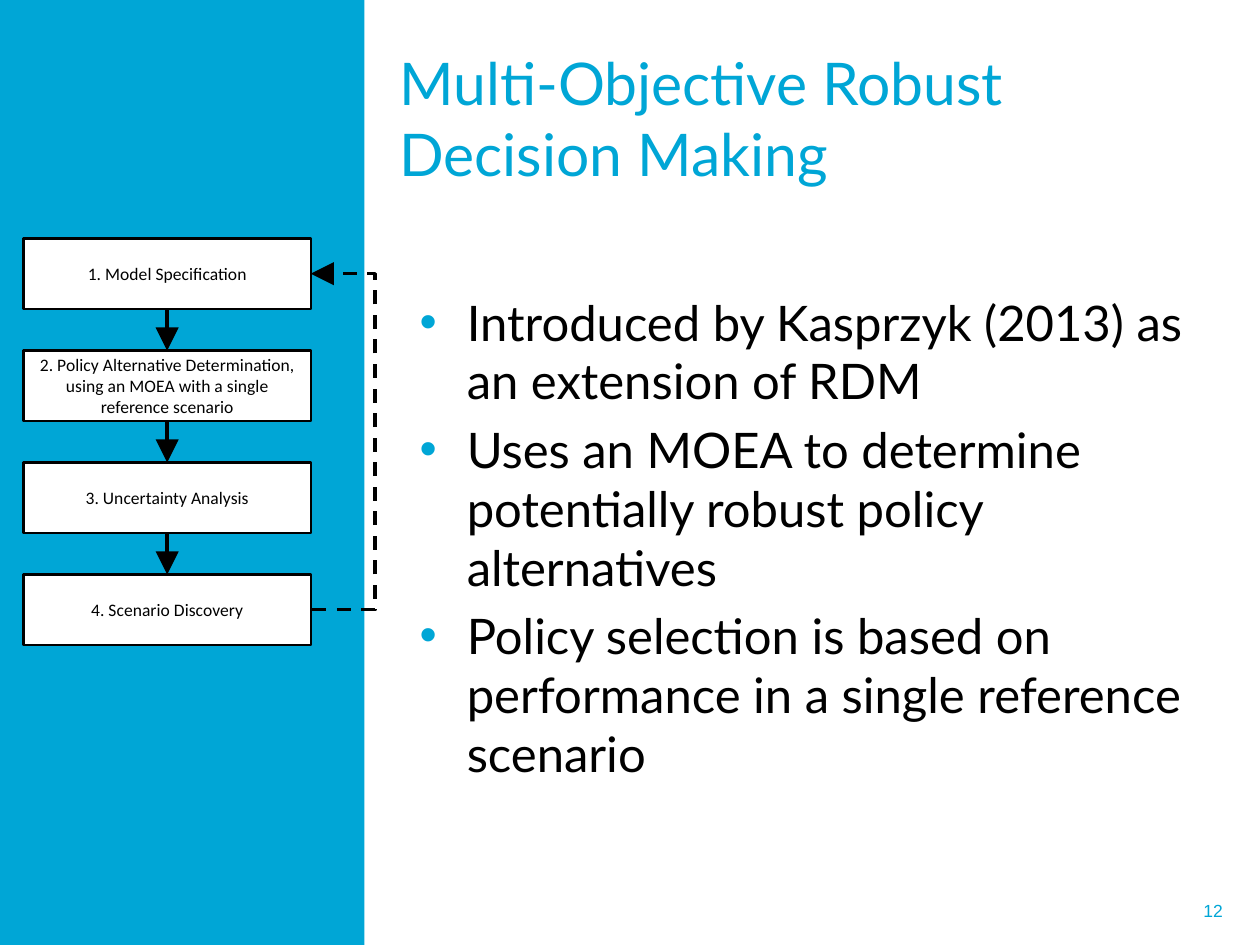
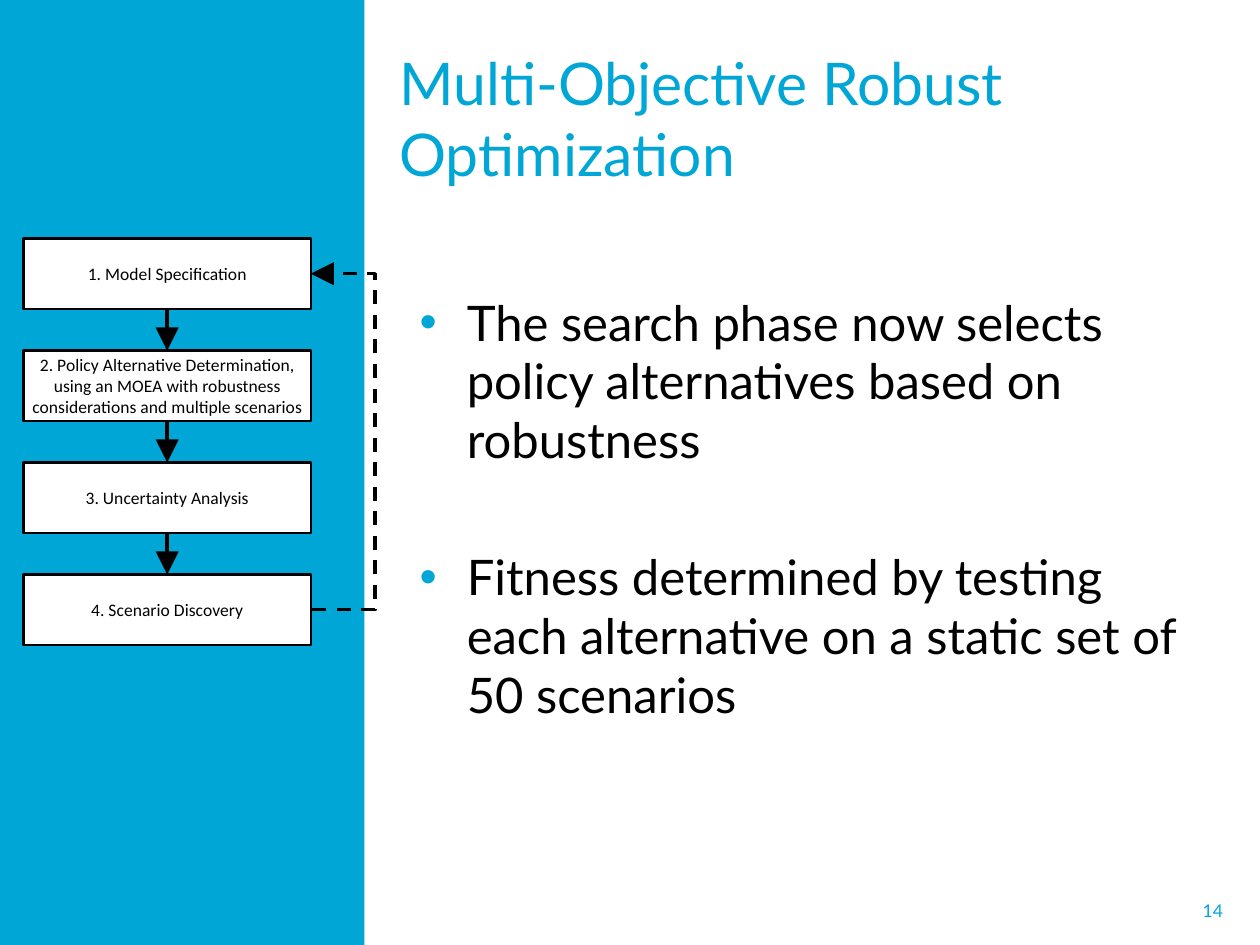
"""Builds two slides on robust decision making, each with a process chart and bullets."""
from lxml import etree
from pptx import Presentation
from pptx.dml.color import RGBColor
from pptx.enum.dml import MSO_LINE
from pptx.enum.shapes import MSO_CONNECTOR, MSO_SHAPE
from pptx.enum.text import MSO_ANCHOR, PP_ALIGN
from pptx.oxml.ns import qn
from pptx.util import Inches, Pt

RECT = MSO_SHAPE.RECTANGLE
STRAIGHT, ELBOW = MSO_CONNECTOR.STRAIGHT, MSO_CONNECTOR.ELBOW
DASH = MSO_LINE.DASH
TOP, MIDDLE = MSO_ANCHOR.TOP, MSO_ANCHOR.MIDDLE
LEFT, CENTER, RIGHT = PP_ALIGN.LEFT, PP_ALIGN.CENTER, PP_ALIGN.RIGHT

WIDE = 7.5
HIGH = WIDE * 3 / 4
CYAN, BLACK, WHITE = "00A6D6", "000000", "FFFFFF"
HEAD, STEP = "Lato", "Calibri"

SLIDES = [
    {
        "title": "Multi-Objective Robust Decision Making",
        "search": ["2. Policy Alternative Determination, using an MOEA with a single",
                   "reference scenario"],
        "points": ["Introduced by Kasprzyk (2013) as an extension of RDM",
                   "Uses an MOEA to determine potentially robust policy alternatives",
                   "Policy selection is based on performance in a single reference scenario"],
        "gap": 4.2,
        "page": ("12", "Arial"),
    },
    {
        "title": "Multi-Objective Robust Optimization",
        "search": ["2. Policy Alternative Determination, using an MOEA with robustness "
                   "considerations and multiple scenarios"],
        "points": ["The search phase now selects policy alternatives based on robustness",
                   "Fitness determined by testing each alternative on a static set of 50 scenarios"],
        "gap": 33.6,
        "page": ("14", "Lato"),
    },
]

BOX_X, BOX_Y, BOX_W, BOX_H = 0.14, 1.42, 1.71, 0.42
PITCH = 2 / 3
LOOP = 0.39
NUDGE = 0.01


def color(code):
    return RGBColor.from_string(code)


def write(shape, lines, font, size, ink, align=LEFT, anchor=MIDDLE,
          inset=(0.1, 0.05), gap=0, bullet=False):
    frame = shape.text_frame
    frame.word_wrap = True
    frame.vertical_anchor = anchor
    frame.margin_left = frame.margin_right = Inches(inset[0])
    frame.margin_top = frame.margin_bottom = Inches(inset[1])
    for i, line in enumerate(lines):
        para = frame.add_paragraph() if i else frame.paragraphs[0]
        para.text = line
        para.alignment = align
        if i and gap:
            para.space_before = Pt(gap)
        if bullet:
            mark(para)
        para.font.name = font
        para.font.size = Pt(size)
        para.font.color.rgb = color(ink)


def mark(para):
    props = para._p.get_or_add_pPr()
    props.set("marL", str(Inches(0.28)))
    props.set("indent", str(-Inches(0.28)))
    tint = etree.SubElement(props, qn("a:buClr"))
    etree.SubElement(tint, qn("a:srgbClr"), val=CYAN)
    etree.SubElement(props, qn("a:buFont"), typeface="Arial")
    etree.SubElement(props, qn("a:buChar"), char="•")


def text(slide, place, *args, **opts):
    write(slide.shapes.add_textbox(*map(Inches, place)), *args, **opts)


def rect(slide, place, fill, line=None):
    shape = slide.shapes.add_shape(RECT, *map(Inches, place))
    shape.shadow.inherit = False
    shape.fill.solid()
    shape.fill.fore_color.rgb = color(fill)
    if line:
        shape.line.color.rgb = color(line)
        shape.line.width = Pt(1)
    else:
        shape.line.fill.background()
    return shape


def arrow(slide, kind, start, end):
    link = slide.shapes.add_connector(kind, *map(Inches, start + end))
    link.line.color.rgb = color(BLACK)
    link.line.width = Pt(1.5)
    if kind == ELBOW:
        link.line.dash_style = DASH
    etree.SubElement(link.line._get_or_add_ln(), qn("a:tailEnd"),
                     type="triangle", w="lg", len="lg")
    etree.SubElement(link._element.spPr, qn("a:effectLst"))
    return link


def chart(slide, search):
    steps = [["1. Model Specification"], search,
             ["3. Uncertainty Analysis"], ["4. Scenario Discovery"]]
    tops = [BOX_Y + i * PITCH for i in range(len(steps))]
    mid, edge = BOX_X + BOX_W / 2, BOX_X + BOX_W
    last = None
    for top, lines in zip(tops, steps):
        box = rect(slide, (BOX_X, top, BOX_W, BOX_H), WHITE, BLACK)
        write(box, lines, STEP, 7.5, BLACK, CENTER, inset=(0.04, 0.02))
        if last:
            link = arrow(slide, STRAIGHT, (mid, top - PITCH + BOX_H), (mid, top))
            link.begin_connect(last, 2)
            link.end_connect(box, 0)
        last = box
    back = arrow(slide, ELBOW, (edge + NUDGE, tops[-1] + BOX_H / 2),
                 (edge, tops[0] + BOX_H / 2))
    bend = round(-(LOOP - NUDGE) / NUDGE * 100000)
    guides = back._element.spPr.find(qn("a:prstGeom")).get_or_add_avLst()
    etree.SubElement(guides, qn("a:gd"), name="adj1", fmla=f"val {bend}")


def build(deck, data):
    slide = deck.slides.add_slide(deck.slide_layouts[6])
    page, face = data["page"]
    text(slide, (5.46, 5.27, 1.9, 0.3), [page], face, 7.5, CYAN, RIGHT,
         inset=(0.08, 0.04))
    rect(slide, (0, 0, 2.17, HIGH), CYAN)
    text(slide, (2.4, 1.69, 4.88, 2.86), data["points"], HEAD, 21, BLACK,
         anchor=TOP, gap=data["gap"], bullet=True)
    chart(slide, data["search"])
    text(slide, (2.28, 0.23, 5, 0.94), [data["title"]], HEAD, 25.2, CYAN)


def main():
    deck = Presentation()
    deck.slide_width, deck.slide_height = Inches(WIDE), Inches(HIGH)
    for data in SLIDES:
        build(deck, data)
    deck.save("out.pptx")


if __name__ == "__main__":
    main()
